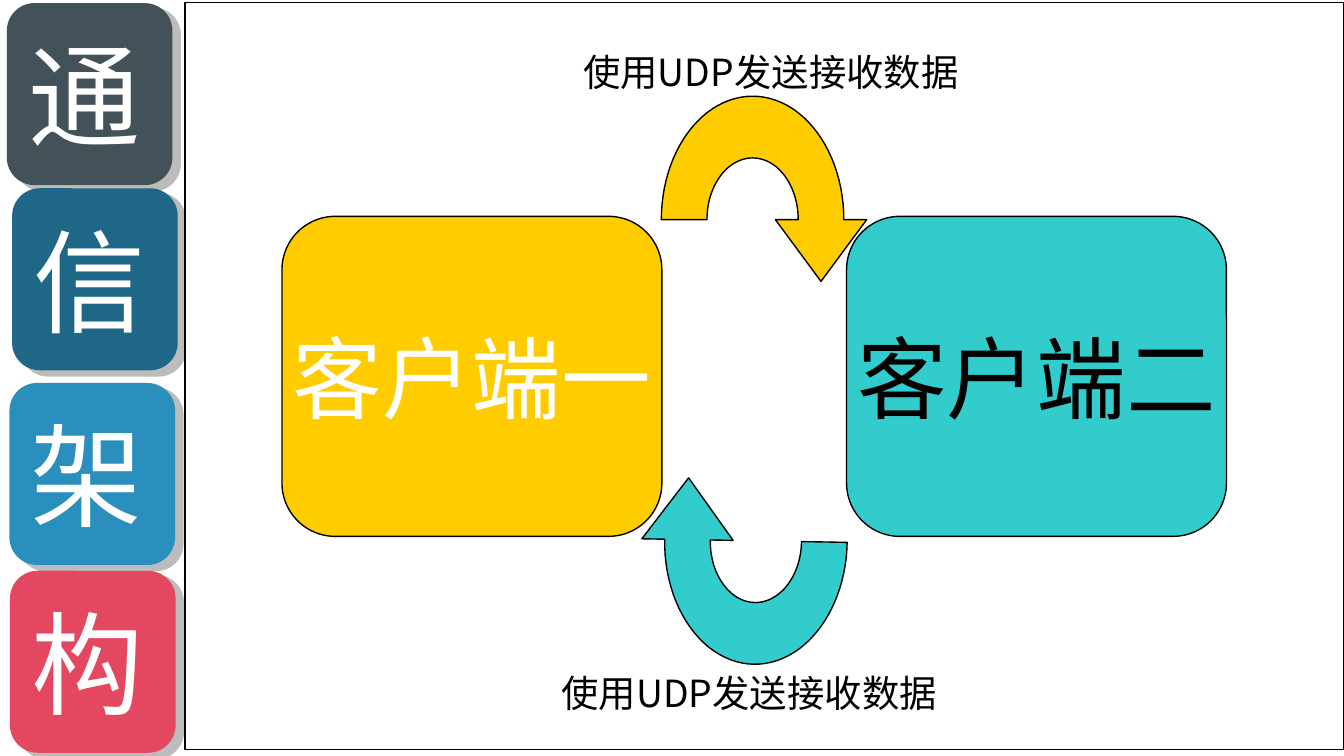
import math
from lxml import etree
from pptx import Presentation
from pptx.dml import color
from pptx.enum import shapes, text
from pptx.oxml import ns
from pptx.util import Cm, Pt

CJK = "Noto Sans CJK SC"
YELLOW, TEAL, BLACK, WHITE = "FFCC00", "33CCCC", "000000", "FFFFFF"


def rgb(value):
    return color.RGBColor.from_string(value)


def paint(sp, fill, line=None):
    sp.shadow.inherit = False
    sp.fill.solid()
    sp.fill.fore_color.rgb = rgb(fill)
    if line:
        sp.line.color.rgb = rgb(line)
        sp.line.width = Pt(0.75)
    else:
        sp.line.fill.background()


def add_box(parent, box, fill, line=None, rounded=True):
    kind = shapes.MSO_SHAPE.ROUNDED_RECTANGLE if rounded else shapes.MSO_SHAPE.RECTANGLE
    sp = parent.add_shape(kind, *map(Cm, box))
    paint(sp, fill, line)
    return sp


def write(sp, words, size, hue, latin=CJK, align=text.PP_ALIGN.LEFT, wrap=True):
    tf = sp.text_frame
    tf.word_wrap = wrap
    tf.text = words
    p = tf.paragraphs[0]
    p.alignment = align
    r = p.runs[0]
    r.font.size = Pt(size)
    r.font.name = latin
    r.font.color.rgb = rgb(hue)
    etree.SubElement(r._r.get_or_add_rPr(), ns.qn("a:ea"), typeface=CJK)


def add_tile(slide, box, word, fill):
    """Rounded heading tile with a grey tile set off behind it."""
    left, top, width, height = box
    group = slide.shapes.add_group_shape().shapes
    add_box(group, (left + 0.16, top + 0.08, width, height + 0.04), "BCBCBC")
    sp = add_box(group, box, fill)
    sp.text_frame.vertical_anchor = text.MSO_ANCHOR.MIDDLE
    write(sp, word, 60, WHITE)


def add_client(slide, box, name, fill, hue):
    sp = add_box(slide.shapes, box, fill, BLACK)
    sp.text_frame.vertical_anchor = text.MSO_ANCHOR.MIDDLE
    write(sp, name, 48, hue, "Arial", text.PP_ALIGN.CENTER, wrap=False)


def add_turn_arrow(slide, box, fill, rotation=0):
    """Half-ring arrow on a grid of 9 columns by 3 rows, pointing down on the right."""
    left, top, width, height = box
    steps = 48

    def arc(rx, ry, start, end):
        angles = (math.radians(start + (end - start) * i / steps) for i in range(steps + 1))
        return [(4 + rx * math.cos(a), 2 - ry * math.sin(a)) for a in angles]

    grid = arc(2, 1, 0, 180) + arc(4, 2, 180, 0) + [(9, 2), (7, 3), (5, 2)]
    points = [(Cm(left + x * width / 9), Cm(top + y * height / 3)) for x, y in grid]
    builder = slide.shapes.build_freeform(*points[0])
    builder.add_line_segments(points[1:], close=True)
    sp = builder.convert_to_shape()
    sp.rotation = rotation
    paint(sp, fill, BLACK)


def add_label(slide, box, words):
    sp = slide.shapes.add_textbox(*map(Cm, box))
    write(sp, words, 20, BLACK)
    sp.text_frame.auto_size = text.MSO_AUTO_SIZE.SHAPE_TO_FIT_TEXT


def add_heading(slide):
    tiles = [
        ("通", "435258", 0.13, 0.06),
        ("信", "1E6787", 0.23, 3.56),
        ("架", "2A8FBD", 0.18, 7.24),
        ("构", "E44860", 0.19, 10.79),
    ]
    for word, fill, left, top in tiles:
        add_tile(slide, (left, top, 3.13, 3.44), word, fill)


def add_diagram(slide, box):
    """Two clients joined by a pair of turning arrows, inside a frame."""
    left, top = box[:2]
    add_box(slide.shapes, box, WHITE, BLACK, rounded=False)
    clients = [("客户端一", YELLOW, WHITE), ("客户端二", TEAL, BLACK)]
    for i, (name, fill, hue) in enumerate(clients):
        add_client(slide, (left + 1.83 + i * 10.67, top + 4.04, 7.18, 6.05), name, fill, hue)
    exchanges = [
        (9.0, 1.77, YELLOW, 0, 7.27, 0.76),
        (8.62, 9.0, TEAL, 181, 6.86, 12.5),
    ]
    for x, y, fill, rotation, label_x, label_y in exchanges:
        add_turn_arrow(slide, (left + x, top + y, 3.88, 3.5), fill, rotation)
        add_label(slide, (left + label_x, top + label_y, 8.15, 1.12), "使用UDP发送接收数据")


def main():
    prs = Presentation()
    prs.slide_width, prs.slide_height = Cm(25.4), Cm(14.29)
    slide = prs.slides.add_slide(prs.slide_layouts[6])
    add_heading(slide)
    add_diagram(slide, (3.5, 0.05, 21.89, 14.12))
    prs.save("out.pptx")


if __name__ == "__main__":
    main()
